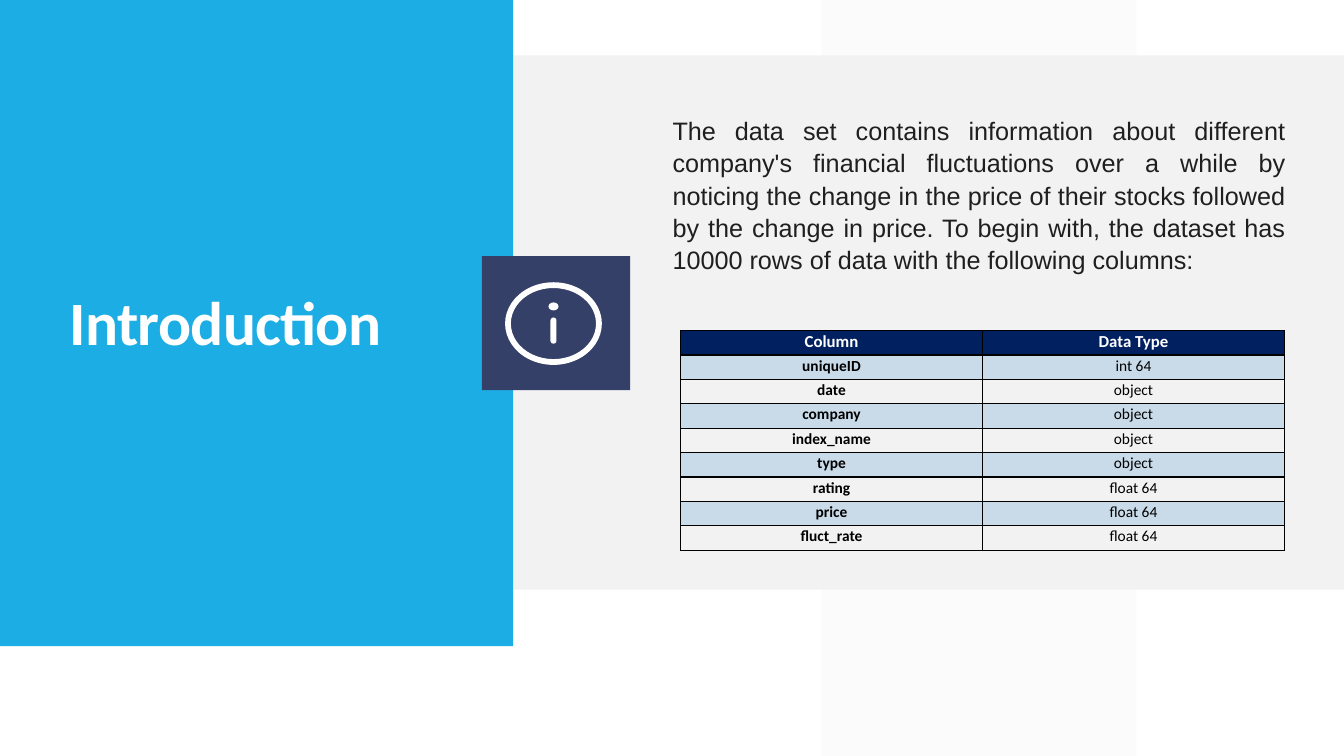
from lxml import etree
from pptx import Presentation
from pptx.dml.color import RGBColor
from pptx.enum.shapes import MSO_SHAPE as Preset
from pptx.enum.text import MSO_ANCHOR as Anchor, MSO_AUTO_SIZE as AutoSize, PP_ALIGN as Align
from pptx.oxml.ns import qn
from pptx.util import Inches, Pt

COLUMNS = [
    ("Column", "Data Type"),
    ("uniqueID", "int 64"),
    ("date", "object"),
    ("company", "object"),
    ("index_name", "object"),
    ("type", "object"),
    ("rating", "float 64"),
    ("price", "float 64"),
    ("fluct_rate", "float 64"),
]
INTRO = (
    "The data set contains information about different company's financial "
    "fluctuations over a while by noticing the change in the price of their "
    "stocks followed by the change in price. To begin with, the dataset has "
    "10000 rows of data with the following columns:"
)


def rgb(color):
    return RGBColor.from_string(color)


class IntroSlide:
    """Holds the palette, the fonts and the page, and draws each kind of element."""

    white, pale, sky, indigo = "FFFFFF", "F2F2F2", "1CADE4", "344068"
    navy, band, ink, black = "002060", "2683C6", "1F1F1F", "000000"
    heading_font, body_font = "Calibri", "Arial"

    def __init__(self, deck):
        self.page = deck.slides.add_slide(deck.slide_layouts[5])

    def paint(self, fill, color, opacity=100):
        fill.solid()
        fill.fore_color.rgb = rgb(color)
        if opacity < 100:
            tint = fill.fore_color._xFill.find(qn("a:srgbClr"))
            etree.SubElement(tint, qn("a:alpha"), val=str(opacity * 1000))

    def block(self, place, color, preset=Preset.RECTANGLE, opacity=100, adjust=None):
        shape = self.page.shapes.add_shape(preset, *map(Inches, place))
        shape.shadow.inherit = False
        shape.line.fill.background()
        self.paint(shape.fill, color, opacity)
        if adjust is not None:
            shape.adjustments[0] = adjust

    def add_text(self, frame, text, align, spacing, color, **style):
        para = frame.paragraphs[0]
        para.alignment, para.line_spacing = align, spacing
        span = para.add_run()
        span.text = text
        for name, value in style.items():
            setattr(span.font, name, value)
        span.font.color.rgb = rgb(color)
        return span

    def set_frame(self, frame, **settings):
        for name, value in settings.items():
            setattr(frame, name, value)

    def title(self, place, text):
        title = self.page.shapes.title
        self.page.shapes.element.append(title.element)
        title.left, title.top, title.width, title.height = map(Inches, place)
        self.set_frame(title.text_frame, vertical_anchor=Anchor.MIDDLE,
                       word_wrap=True, auto_size=AutoSize.NONE)
        span = self.add_text(title.text_frame, text, Align.LEFT, 0.9, self.white,
                             name=self.heading_font, size=Pt(44), bold=True)
        span.font._element.set("spc", "-50")

    def body(self, place, text):
        box = self.page.shapes.add_textbox(*map(Inches, place))
        self.set_frame(box.text_frame, vertical_anchor=Anchor.MIDDLE, word_wrap=True,
                       margin_left=0, margin_right=0, margin_bottom=Inches(0.35))
        self.add_text(box.text_frame, text, Align.JUSTIFY, 1.07, self.ink,
                      name=self.body_font, size=Pt(18))

    def border(self, cell):
        properties = cell._tc.get_or_add_tcPr()
        for index, side in enumerate(("a:lnL", "a:lnR", "a:lnT", "a:lnB")):
            line = etree.Element(qn(side), w=str(Pt(1)))
            solid = etree.SubElement(line, qn("a:solidFill"))
            etree.SubElement(solid, qn("a:srgbClr"), val=self.black)
            properties.insert(index, line)

    def cell(self, cell, text, row, column):
        header = row == 0
        self.set_frame(cell, margin_left=Inches(0.07), margin_right=Inches(0.07),
                       margin_top=0, margin_bottom=0)
        if header:
            self.paint(cell.fill, self.navy)
        elif row % 2:
            self.paint(cell.fill, self.band, 20)
        else:
            cell.fill.background()
        self.border(cell)
        self.add_text(cell.text_frame, text, Align.CENTER, 1.07,
                      self.white if header else self.black, name=self.heading_font,
                      size=Pt(12 if header else 11), bold=header or column == 0)

    def table(self, place, rows):
        table = self.page.shapes.add_table(
            len(rows), len(rows[0]), *map(Inches, place)).table
        for row, texts in enumerate(rows):
            for column, text in enumerate(texts):
                self.cell(table.cell(row, column), text, row, column)


def main():
    deck = Presentation()
    deck.slide_width, deck.slide_height = Inches(13.33), Inches(7.5)
    slide = IntroSlide(deck)

    slide.block((8.15, 0, 3.12, 7.5), slide.pale, opacity=30,
                preset=Preset.PARALLELOGRAM, adjust=0)
    slide.block((5.09, 0.55, 8.24, 5.3), slide.pale)
    slide.block((0, 0, 5.09, 6.41), slide.sky)
    slide.block((4.78, 2.54, 1.47, 1.33), slide.indigo)

    slide.title((0.59, 2.08, 3.36, 2.29), "Introduction")
    slide.body((6.67, 0.62, 6.08, 2.91), INTRO)

    slide.block((5.01, 2.8, 0.96, 0.82), slide.white, Preset.DONUT, adjust=0.07)
    slide.block((5.44, 3, 0.1, 0.08), slide.white, Preset.OVAL)
    slide.block((5.46, 3.15, 0.06, 0.26), slide.white, Preset.ROUNDED_RECTANGLE, adjust=0.5)

    slide.table((6.75, 3.28, 5.99, 2.18), COLUMNS)
    deck.save("out.pptx")


if __name__ == "__main__":
    main()
